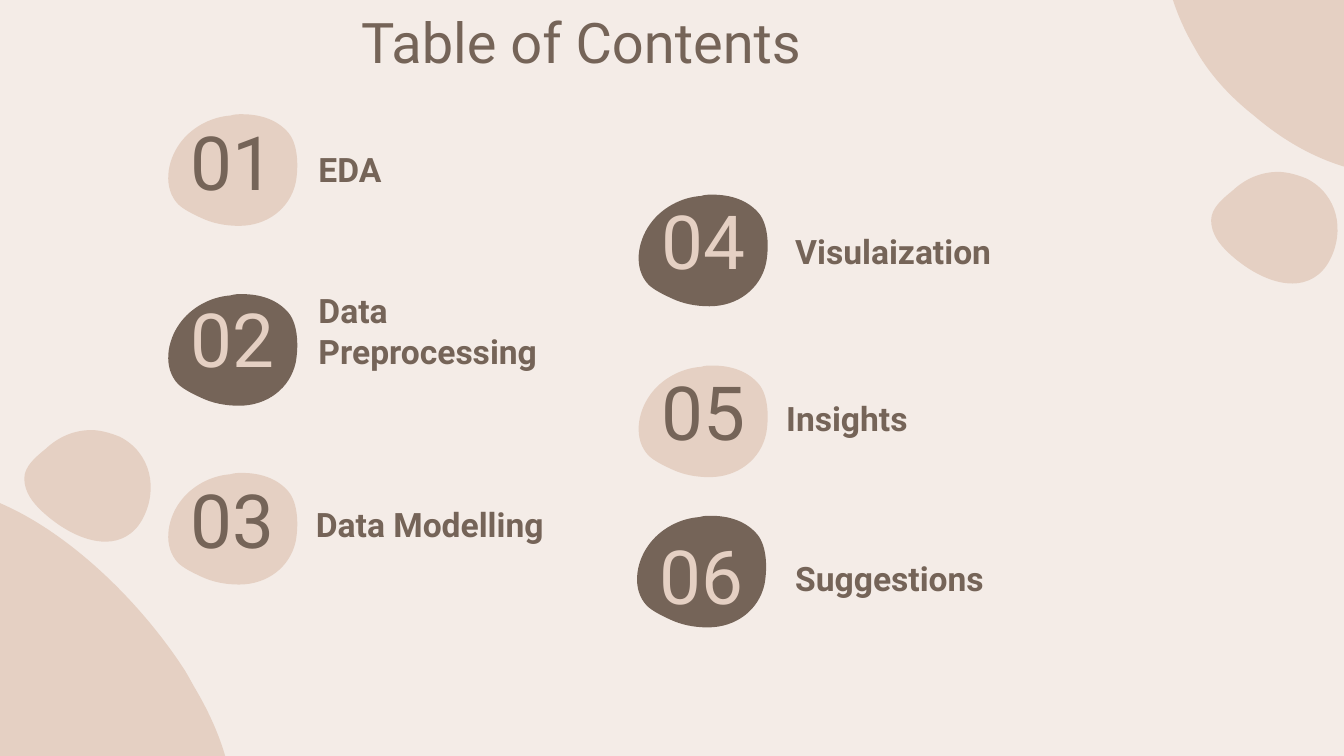
import math
import lxml.etree
import pptx
import pptx.dml.color
import pptx.enum.text
import pptx.oxml.ns
import pptx.util

Cm = pptx.util.Cm
PALE, SAND, BROWN = "F4ECE7", "E5D0C3", "756458"
MID = pptx.enum.text.PP_ALIGN.CENTER
LEFT = pptx.enum.text.PP_ALIGN.LEFT

# Outlines: a start point, then cubic curves (two handles and an end point)
HILL = [(66, 248), (75, 265), (89, 280), (107, 293),
        (169, 342), (241, 337), (307, 299), (337, 282), (370, 260), (376, 223),
        (380, 194), (370, 164), (355, 138), (352, 133), (350, 129), (347, 124),
        (292, 40), (164, -50), (86, 57), (43, 114), (32, 190), (66, 248)]
DROP = [(47, 0), (35, 0), (24, 5), (15, 14), (8, 20), (0, 27), (0, 36),
        (0, 46), (6, 54), (12, 60), (24, 72), (41, 83), (57, 83),
        (67, 83), (77, 78), (83, 66), (94, 44), (89, 17), (67, 5),
        (60, 2), (53, 0), (47, 0)]
STONE = [(56, 0), (53, 0), (51, 0), (48, 1), (34, 2), (20, 10), (12, 22),
         (3, 35), (0, 55), (11, 67), (15, 71), (21, 74), (27, 77),
         (35, 81), (44, 83), (54, 83), (74, 83), (90, 70), (94, 51),
         (96, 40), (96, 23), (89, 14), (81, 4), (69, 0), (56, 0)]

# Number, label, stone corner, number drop, label offset (cm)
ITEMS = [("01", "EDA", 3.18, 2.16, 0.1, 2.59, 0.66),
         ("02", "Data Preprocessing", 3.18, 5.56, 0.05, 2.59, 0.31),
         ("03", "Data Modelling", 3.18, 8.94, 0.08, 2.54, 0.59),
         ("04", "Visulaization", 12.07, 3.68, 0.08, 2.71, 0.69),
         ("05", "Insights", 12.07, 6.91, 0.08, 2.54, 0.61),
         ("06", "Suggestions", 12.04, 9.75, 0.33, 2.74, 0.79)]


def tint(code):
    return pptx.dml.color.RGBColor.from_string(code)


def trace(curve, steps=24):
    """Points along the cubic curves, used to find their bounds."""
    dots = [curve[0]]
    for i in range(0, len(curve) - 1, 3):
        for n in range(1, steps + 1):
            t = n / steps
            u = 1 - t
            dots.append(tuple(u**3 * a + 3 * u * u * t * b + 3 * u * t * t * c + t**3 * d
                              for a, b, c, d in zip(*curve[i:i + 4])))
    return dots


def bend(shape, spots):
    """Give a freeform cubic curves through the spots."""
    name = pptx.oxml.ns.qn
    route = shape._element.find(".//" + name("a:path"))
    for part in list(route):
        route.remove(part)
    for tag, start, stop in [("a:moveTo", 0, 1)] + [
            ("a:cubicBezTo", i, i + 3) for i in range(1, len(spots), 3)]:
        step = lxml.etree.SubElement(route, name(tag))
        for x, y in spots[start:stop]:
            lxml.etree.SubElement(step, name("a:pt"), x=str(x), y=str(y))
    lxml.etree.SubElement(route, name("a:close"))


def blob(slide, box, curve, color, turn=0):
    """Fit an outline to the box; turn is the angle it is shown at."""
    left, top, wide, high = map(Cm, box)
    cos, sin = math.cos(math.radians(turn)), math.sin(math.radians(turn))
    knots = [(x * cos + y * sin, y * cos - x * sin) for x, y in curve]
    xs, ys = zip(*trace(knots))
    across = wide / (max(xs) - min(xs))
    down = high / (max(ys) - min(ys))
    spots = [(round((x - min(xs)) * across), round((y - min(ys)) * down))
             for x, y in knots]
    pen = slide.shapes.build_freeform(left, top)
    pen.add_line_segments([(left + wide, top), (left + wide, top + high),
                           (left, top + high)])
    shape = pen.convert_to_shape()
    bend(shape, spots)
    shape.rotation = turn
    shape.shadow.inherit = False
    shape.fill.solid()
    shape.fill.fore_color.rgb = tint(color)
    shape.line.fill.background()


def write(slide, box, text, size, color, align=LEFT, bold=False):
    frame = slide.shapes.add_textbox(*map(Cm, box)).text_frame
    frame.word_wrap = True
    frame.vertical_anchor = pptx.enum.text.MSO_ANCHOR.MIDDLE
    frame.margin_left = frame.margin_right = Cm(0.25)
    frame.margin_top = frame.margin_bottom = Cm(0.25)
    para = frame.paragraphs[0]
    para.text = text
    para.alignment = align
    para.font.name = "Roboto"
    para.font.size = pptx.util.Pt(size)
    para.font.bold = bold
    para.font.color.rgb = tint(color)


def corner(slide, hill, drop):
    """A large hill with a small drop beside it."""
    blob(slide, (*hill, 9.5, 7.77), HILL, SAND, 240)
    blob(slide, (*drop, 2.39, 2.11), DROP, SAND)


def entry(slide, box, num, label, colors, fall, shift):
    """A numbered stone with its label."""
    left, top, wide, high = box
    back, ink = colors
    blob(slide, box, STONE, back)
    write(slide, (left + 0.1, top + fall, wide - 0.2, 1.55), num, 40, ink, MID)
    write(slide, (left + shift[0], top + shift[1], 5.89, 0.76), label, 18, BROWN, bold=True)


def main():
    deck = pptx.Presentation()
    deck.slide_width, deck.slide_height = Cm(25.4), Cm(14.29)
    slide = deck.slides.add_slide(deck.slide_layouts[6])
    slide.background.fill.solid()
    slide.background.fill.fore_color.rgb = tint(PALE)

    # Corner decoration
    corner(slide, (-5.11, 9.88), (0.46, 8.13))
    corner(slide, (21.16, -4.98), (22.89, 3.25))

    # Title
    write(slide, (0.43, 0.38, 21.11, 0.81), "Table of Contents", 30, BROWN, MID)

    # Entries, with light and dark stones in turn
    for i, (num, label, left, top, fall, *shift) in enumerate(ITEMS):
        colors = (BROWN, SAND) if i % 2 else (SAND, BROWN)
        entry(slide, (left, top, 2.44, 2.11), num, label, colors, fall, shift)

    deck.save("out.pptx")


if __name__ == "__main__":
    main()
